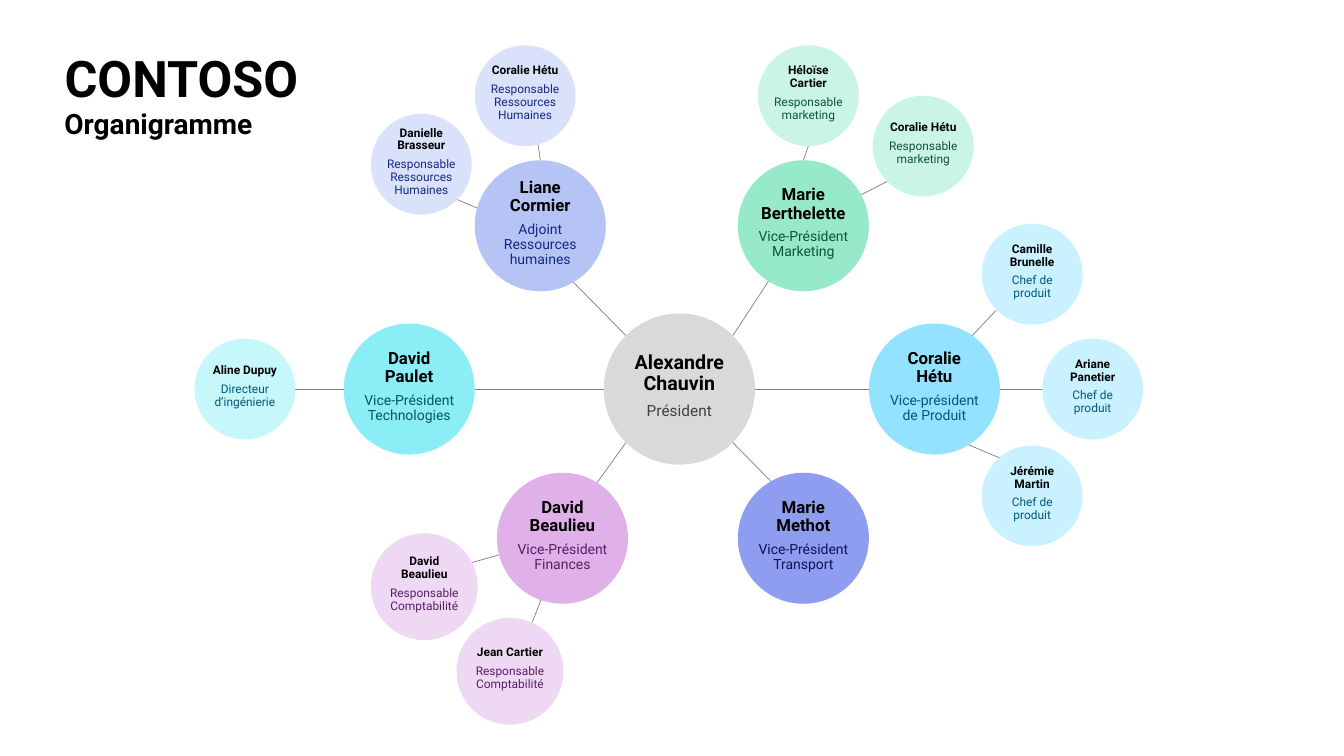
from lxml.etree import SubElement
from pptx import Presentation
from pptx.dml.color import RGBColor
from pptx.enum.shapes import MSO_CONNECTOR, MSO_SHAPE
from pptx.enum.text import MSO_ANCHOR, MSO_AUTO_SIZE, PP_ALIGN
from pptx.oxml.ns import qn
from pptx.util import Inches, Pt

THEME = {
    "font": "Roboto", "black": "000000", "line": "7F7F7F", "line_width": 0.5,
    "title": 36, "subtitle": 20,
    # Level: name size, role size, space after name
    "president": (14, 11, 6), "lead": (12, 10, 5), "staff": (8.5, 8.5, 4),
    # Department: lead fill, lead ink, staff fill, staff ink
    "direction": ("D9D9D9", "404040", None, None),
    "hr": ("B6C3F5", "132A84", "DAE1FA", "132A84"),
    "marketing": ("96EACA", "105239", "CAF5E5", "105239"),
    "technology": ("8BEEF6", "07565C", "C5F7FB", "005878"),
    "product": ("93E2FF", "005878", "C9F1FF", "005878"),
    "finance": ("E0B1E9", "5A1D66", "EFD8F4", "5A1D66"),
    "transport": ("8E9DEF", "0C1653", None, None),
}

# Grid of ten columns and ten rows to the inch
COLUMNS, ROWS = 133.33, 75
MIDDLE, UPPER, LOWER = 38.6, 22.4, 53.4
HUB_SIZE, LEAD_SIZE = 15, 13

# Department, name, role, centre, link to the hub, staff size, staff;
# each member of staff has a name, a role, a centre and a link to the lead
BRANCHES = [
    ("hr", "Liane Cormier", "Adjoint Ressources humaines", (53.6, UPPER),
     (62.1, 33.3, 56.4, 27.5), 10, [
        ("Danielle Brasseur", "Responsable Ressources Humaines", (41.8, 16.3), (48.2, 21, 43, 18.8)),
        ("Coralie Hétu", "Responsable Ressources Humaines", (52.1, 9.5), (53.6, 15.9, 53.2, 13)),
    ]),
    ("marketing", "Marie Berthelette", "Vice-Président Marketing", (79.7, UPPER),
     (72.7, 33.3, 76.7, 27.2), 10, [
        ("Héloïse Cartier", "Responsable marketing", (80.2, 9.5), (79.7, 15.9, 80.2, 14.5)),
        ("Coralie Hétu", "Responsable marketing", (91.6, 14.5), (85.1, 19.5, 88, 18)),
    ]),
    ("technology", "David Paulet", "Vice-Président Technologies", (40.6, MIDDLE),
     (59.9, MIDDLE, 47.1, MIDDLE), 10, [
        ("Aline Dupuy", "Directeur d’ingénierie", (24.3, MIDDLE), (34.1, MIDDLE, 27.6, MIDDLE)),
    ]),
    ("product", "Coralie Hétu", "Vice-président de Produit", (92.7, MIDDLE),
     (74.9, MIDDLE, 86.2, MIDDLE), 10, [
        ("Camille Brunelle", "Chef de produit", (102.4, 27.2), (95.6, 34.2, 98.8, 30.8)),
        ("Ariane Panetier", "Chef de produit", (108.4, MIDDLE), (99.2, MIDDLE, 104.6, MIDDLE)),
        ("Jérémie Martin", "Chef de produit", (102.4, 49.2), (94.6, 43.5, 99.8, 45.7)),
    ]),
    ("finance", "David Beaulieu", "Vice-Président Finances", (55.8, LOWER),
     (62.1, 43.9, 58, 49.6), 10.6, [
        ("David Beaulieu", "Responsable Comptabilité", (42.1, 58.2), (50.4, 54.8, 44, 56.6)),
        ("Jean Cartier", "Responsable Comptabilité", (50.6, 66.6), (54.3, 57.9, 51.8, 64.3)),
    ]),
    ("transport", "Marie Methot", "Vice-Président Transport", (79.7, LOWER),
     (72.7, 43.9, 77.7, 49), 10, []),
]


def cells(*counts):
    return [Inches(count / 10) for count in counts]


def add_text(paragraph, text, size, color, bold):
    run = paragraph.add_run()
    run.text = text
    run.font.name = THEME["font"]
    run.font.size = Pt(size)
    run.font.bold = bold
    run.font.color.rgb = RGBColor.from_string(color)


deck = Presentation()
deck.slide_width, deck.slide_height = cells(COLUMNS, ROWS)
slide = deck.slides.add_slide(deck.slide_layouts[5])

# Company name and subtitle
company = slide.shapes.title
company.left, company.top, company.width, company.height = cells(5.4, 3.4, 57.3, 9.3)
subtitle = slide.shapes.add_textbox(*cells(5.4, 10.7, 39.2, 4))
for heading, text, size, spacing, before, anchor in [
    (company, "CONTOSO", THEME["title"], 0.9, 0, MSO_ANCHOR.MIDDLE),
    (subtitle, "Organigramme", THEME["subtitle"], 0.8, 9, MSO_ANCHOR.TOP),
]:
    frame = heading.text_frame
    frame.word_wrap = True
    frame.auto_size = MSO_AUTO_SIZE.NONE
    frame.vertical_anchor = anchor
    line = frame.paragraphs[0]
    line.alignment = PP_ALIGN.LEFT
    line.line_spacing = spacing
    line.space_before = Pt(before)
    add_text(line, text, size, THEME["black"], True)

# Gather people and links from the branches
links = []
people = [("president", "Alexandre Chauvin", "Président", (67.4, MIDDLE), HUB_SIZE,
           *THEME["direction"][:2])]
for department, name, role, center, link, staff_size, staff in BRANCHES:
    lead_fill, lead_ink, staff_fill, staff_ink = THEME[department]
    links.append(link)
    people.append(("lead", name, role, center, LEAD_SIZE, lead_fill, lead_ink))
    for member, duty, place, member_link in staff:
        links.append(member_link)
        people.append(("staff", member, duty, place, staff_size, staff_fill, staff_ink))

# Links, behind the circles
for link in links:
    connector = slide.shapes.add_connector(MSO_CONNECTOR.STRAIGHT, *cells(*link))
    connector.line.color.rgb = RGBColor.from_string(THEME["line"])
    connector.line.width = Pt(THEME["line_width"])
    SubElement(connector._element.spPr, qn("a:effectLst"))

# One circle for each person
for level, name, role, (x, y), size, fill, ink in people:
    name_size, role_size, gap = THEME[level]
    circle = slide.shapes.add_shape(
        MSO_SHAPE.OVAL, *cells(x - size / 2, y - size / 2, size, size))
    circle.shadow.inherit = False
    circle.fill.solid()
    circle.fill.fore_color.rgb = RGBColor.from_string(fill)
    circle.line.fill.background()
    frame = circle.text_frame
    frame.word_wrap = True
    frame.vertical_anchor = MSO_ANCHOR.MIDDLE
    frame.margin_left = frame.margin_right = frame.margin_top = Inches(0.01)
    frame.margin_bottom = Inches(0.06)
    for paragraph, text, points, color, bold, after in [
        (frame.paragraphs[0], name, name_size, THEME["black"], True, gap),
        (frame.add_paragraph(), role, role_size, ink, False, 4),
    ]:
        paragraph.alignment = PP_ALIGN.CENTER
        paragraph.line_spacing = 0.9
        paragraph.space_after = Pt(after)
        add_text(paragraph, text, points, color, bold)

deck.save("out.pptx")
